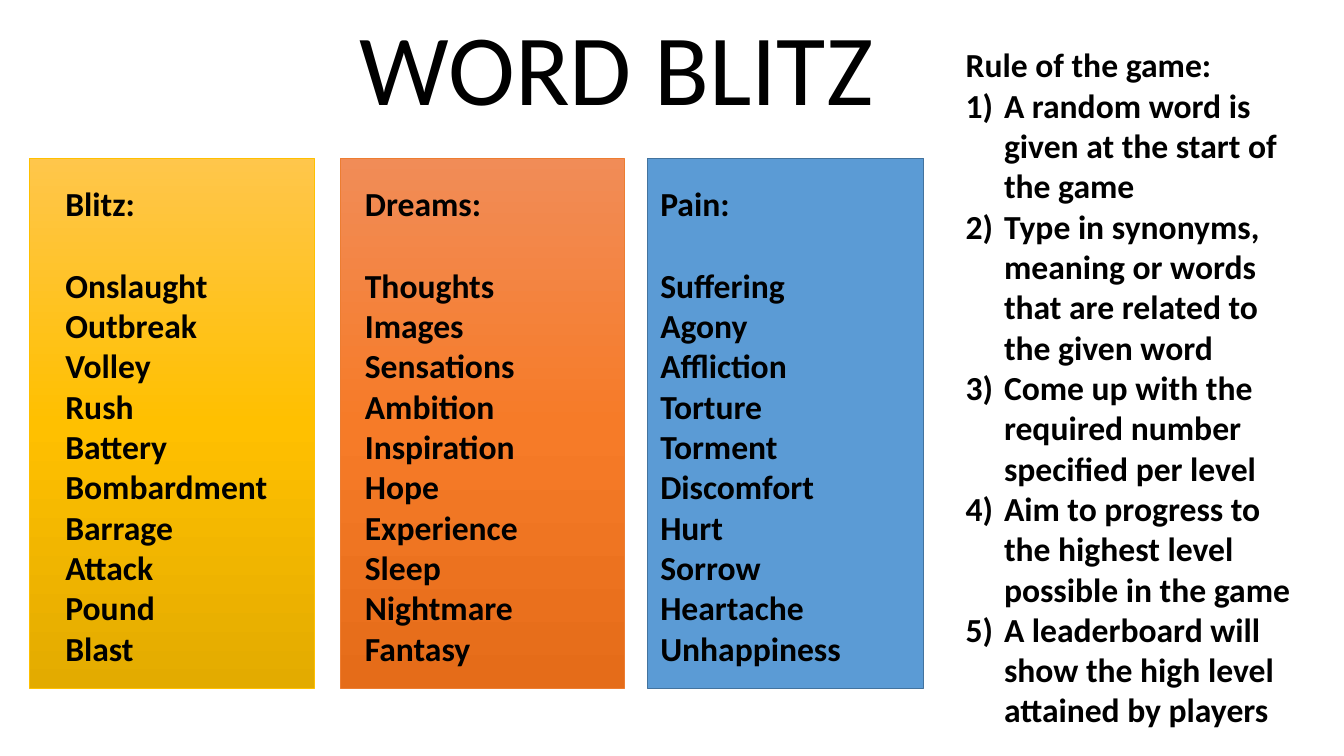
from copy import deepcopy

from pptx import Presentation, util as u
from pptx.dml.color import RGBColor
from pptx.enum import shapes, text
from pptx.oxml import ns, xmlchemy

COLORS = {
    "ink": "000000",
    "gold": ["FFC64B", "FFC000", "E3AB00"], "gold_edge": "FFC000",
    "orange": ["F18C57", "F67B28", "E56C19"], "orange_edge": "ED7D31",
    "blue": ["5B9BD5"], "blue_edge": "43739E",
}
FONT = "Calibri"
BODY_SIZE = 24
LINE_HEIGHT = 1.22  # Calibri line pitch relative to its size


class WordGameSlide:
    def __init__(self, slide):
        self.slide = slide

    def rgb(self, name):
        return RGBColor.from_string(COLORS[name])

    def panel(self, left, top, width, height, color, edge_width):
        panel = self.slide.shapes.add_shape(
            shapes.MSO_SHAPE.RECTANGLE, *map(u.Inches, (left, top, width, height)))
        panel.shadow.inherit = False
        panel.line.color.rgb = self.rgb(color + "_edge")
        panel.line.width = u.Pt(edge_width)
        tones = COLORS[color]
        if len(tones) == 1:
            panel.fill.solid()
            panel.fill.fore_color.rgb = RGBColor.from_string(tones[0])
            return
        panel.fill.gradient()
        panel.fill.gradient_angle = 270
        stops = panel._element.spPr.find(".//" + ns.qn("a:gsLst"))
        stops.append(deepcopy(stops[-1]))
        for i, (stop, tone) in enumerate(zip(panel.fill.gradient_stops, tones)):
            stop.color.rgb = RGBColor.from_string(tone)
            stop.position = i / (len(tones) - 1)

    def text(self, left, top, width, height, lines, size=BODY_SIZE, bold=True):
        box = self.slide.shapes.add_textbox(
            *map(u.Inches, (left, top, width, height)))
        frame = box.text_frame
        frame.word_wrap = True
        frame.auto_size = text.MSO_AUTO_SIZE.SHAPE_TO_FIT_TEXT
        frame.text = "\n".join(lines)
        for paragraph in frame.paragraphs:
            for run in paragraph.runs:
                run.font.name = FONT
                run.font.size = u.Pt(size)
                run.font.bold = bold
                run.font.color.rgb = self.rgb("ink")
        return frame.paragraphs

    def indent(self, paragraph, margin, first_line=0):
        props = paragraph._p.get_or_add_pPr()
        props.set("marL", str(u.Inches(margin)))
        props.set("indent", str(u.Inches(first_line)))
        return props

    def number(self, paragraph):
        props = self.indent(paragraph, 0.38, -0.38)
        for tag, key, value in (("a:buFont", "typeface", "+mj-lt"),
                                ("a:buAutoNum", "type", "arabicParenR")):
            bullet = xmlchemy.OxmlElement(tag)
            bullet.set(key, value)
            props.append(bullet)


deck = Presentation()
deck.slide_width, deck.slide_height = u.Inches(13.33), u.Inches(7.5)
game = WordGameSlide(deck.slides.add_slide(deck.slide_layouts[6]))

# Title
title = game.text(2.11, 0, 8.55, 1.31, ["WORD BLITZ"], size=72, bold=False)
game.indent(title[0], 1.36)

# Word columns: panel left, width, colour, edge; list left, width; words
COLUMNS = [
    (0.29, 2.83, "gold", 0.5, 0.55, 2.57,
     "Blitz: Onslaught Outbreak Volley Rush Battery Bombardment Barrage "
     "Attack Pound Blast"),
    (3.38, 2.81, "orange", 0.5, 3.52, 2.52,
     "Dreams: Thoughts Images Sensations Ambition Inspiration Hope "
     "Experience Sleep Nightmare Fantasy"),
    (6.42, 2.74, "blue", 1, 6.45, 2.62,
     "Pain: Suffering Agony Affliction Torture Torment Discomfort Hurt "
     "Sorrow Heartache Unhappiness"),
]
for left, width, color, edge, list_left, list_width, words in COLUMNS:
    game.panel(left, 1.57, width, 5.26, color, edge)
    heading, *_ = game.text(list_left, 1.77, list_width, 4.95, words.split())
    heading.space_after = u.Pt(BODY_SIZE * LINE_HEIGHT)

# Rules
_, *rules = game.text(9.48, 0.39, 3.57, 6.97, [
    "Rule of the game:",
    "A random word is given at the start of the game",
    "Type in synonyms, meaning or words that are related to the given word",
    "Come up with the required number specified per level",
    "Aim to progress to the highest level possible in the game",
    "A leaderboard will show the high level attained by players",
])
for rule in rules:
    game.number(rule)

deck.save("out.pptx")
